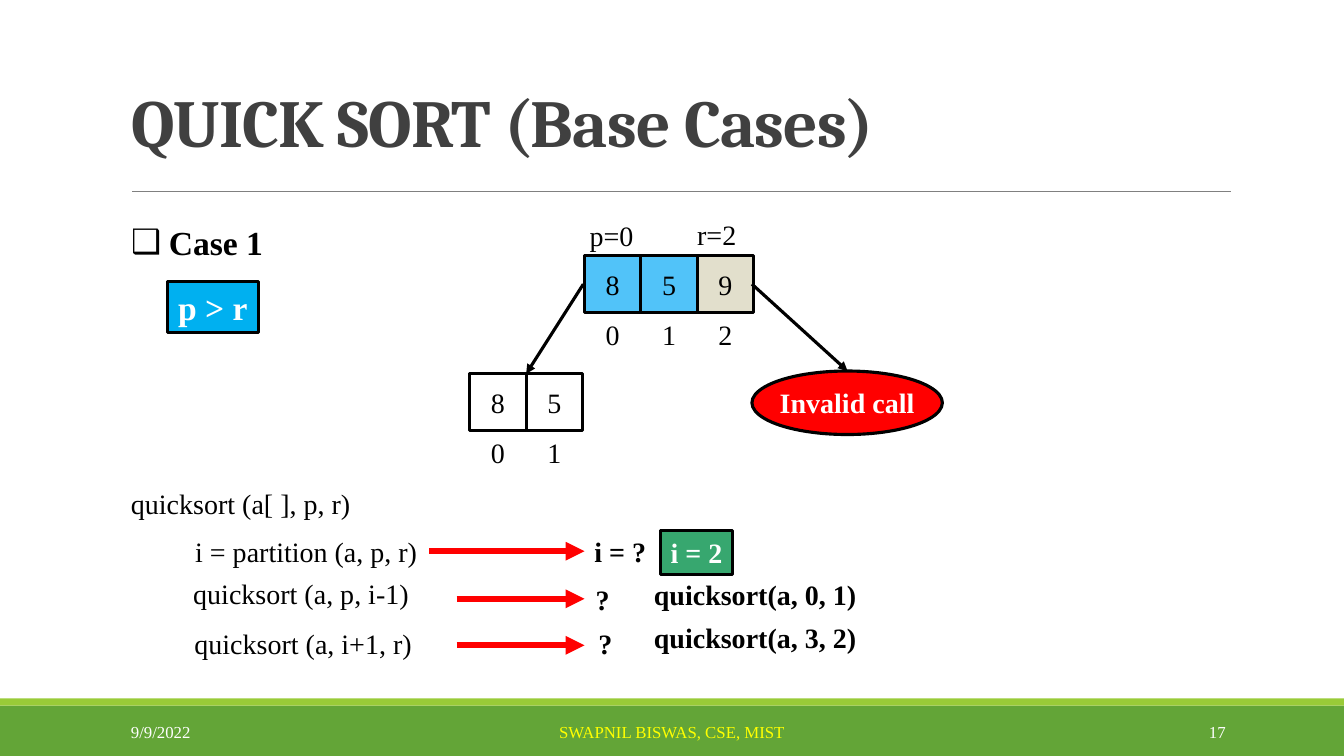
from lxml.etree import SubElement
from pptx import Presentation
from pptx.dml.color import RGBColor
from pptx.enum.shapes import MSO_CONNECTOR as Link, MSO_SHAPE as Shape
from pptx.enum.text import MSO_ANCHOR as Anchor, MSO_AUTO_SIZE as Fit, PP_ALIGN as Align
from pptx.oxml.ns import qn
from pptx.util import Cm, Pt

COLORS = {
    "black": "000000", "white": "FFFFFF", "title": "404040", "rule": "808080",
    "red": "FF0000", "yellow": "FFFF00", "sky": "00B0F0", "blue": "51C3F9",
    "sand": "E2DFCC", "teal": "37A76F", "green": "63A537", "lime": "99CB38",
}
CELL = 1.42
LINE_HEIGHT = 1.11


def rgb(name):
    """Return the colour registered under a name."""
    return RGBColor.from_string(COLORS[name])


def write(frame, text, size=20, color="black", bold=False, font="Times New Roman",
          align=Align.LEFT, anchor=Anchor.TOP, wrap=False):
    """Put one formatted paragraph in a text frame and return it."""
    frame.auto_size = Fit.NONE
    frame.word_wrap = wrap
    frame.vertical_anchor = anchor
    para = frame.paragraphs[0]
    para.alignment = align
    para.space_before = Pt(0)
    span = para.add_run()
    span.text = text
    span.font.name, span.font.size, span.font.bold = font, Pt(size), bold
    span.font.color.rgb = rgb(color)
    return para


class SlidePainter:
    """Hold the deck, its style and the current page."""

    def __init__(self):
        """Open a wide deck with one title and body page."""
        self.deck = Presentation()
        self.deck.slide_width, self.deck.slide_height = Cm(33.87), Cm(19.05)
        self.page = self.deck.slides.add_slide(self.deck.slide_layouts[1])
        self.outline = 2.25

    def place(self, box, left, top, width, height):
        """Move and size a placeholder."""
        box.left, box.top, box.width, box.height = map(Cm, (left, top, width, height))

    def title(self, text):
        """Fill the title placeholder."""
        box = self.page.shapes.title
        self.place(box, 3.05, 0.15, 27.94, 4.04)
        para = write(box.text_frame, text, size=48, color="title", bold=True,
                     font="Cambria", anchor=Anchor.BOTTOM, wrap=True)
        para.line_spacing = 0.85
        para.runs[0]._r.get_or_add_rPr().set("spc", "-50")

    def case(self, text):
        """Fill the body placeholder with one checkbox item."""
        box = self.page.placeholders[1]
        self.place(box, 3.05, 5.46, 3.89, 1.27)
        para = write(box.text_frame, text, size=24, bold=True)
        props = para._p.get_or_add_pPr()
        props.set("marL", str(Cm(0.95)))
        props.set("indent", str(Cm(-0.95)))
        SubElement(props, qn("a:buChar"), char="❑")

    def label(self, text, left, top, width=5, height=LINE_HEIGHT, **style):
        """Add a text box."""
        box = self.page.shapes.add_textbox(Cm(left), Cm(top), Cm(width), Cm(height))
        write(box.text_frame, text, **style)

    def block(self, left, top, width, height, fill=None, text="", kind=Shape.RECTANGLE,
              outlined=True, **style):
        """Add a shape with optional fill, outline and centred text."""
        box = self.page.shapes.add_shape(kind, Cm(left), Cm(top), Cm(width), Cm(height))
        box.shadow.inherit = False
        if fill:
            box.fill.solid()
            box.fill.fore_color.rgb = rgb(fill)
        else:
            box.fill.background()
        if outlined:
            box.line.color.rgb = rgb("black")
            box.line.width = Pt(self.outline)
        else:
            box.line.fill.background()
        if text:
            write(box.text_frame, text, align=Align.CENTER, anchor=Anchor.MIDDLE, **style)

    def line(self, start, end, color="black", width=2.25, arrow=True):
        """Add a straight line, with an arrowhead at its end by default."""
        link = self.page.shapes.add_connector(Link.STRAIGHT, *map(Cm, (*start, *end)))
        link.line.color.rgb = rgb(color)
        link.line.width = Pt(width)
        if arrow:
            SubElement(link.line._get_or_add_ln(), qn("a:tailEnd"), type="triangle")
        SubElement(link._element.spPr, qn("a:effectLst"))

    def array(self, left, top, values, fills):
        """Add a row of cells with their indexes below."""
        for index, (value, fill) in enumerate(zip(values, fills)):
            x = left + index * CELL
            self.block(x, top, CELL, CELL, fill, value)
            self.label(str(index), x, top + CELL, CELL, align=Align.CENTER)


def main():
    """Build the quick sort page and save the deck."""
    page = SlidePainter()
    page.block(0, 17.78, 33.87, 1.27, "green", outlined=False)
    page.block(0, 17.6, 33.87, 0.18, "lime", outlined=False)
    page.line((3.33, 4.82), (31.01, 4.82), "rule", 0.5, arrow=False)
    page.title("QUICK SORT (Base Cases)")
    page.case("Case 1")
    page.block(4.22, 7.09, 2.29, 1.28, "sky", "p > r", size=24, color="white", bold=True)

    page.label("p=0", 14.61, 5.38, 1.63)
    page.label("r=2", 17.32, 5.36, 1.5)
    page.array(14.73, 6.45, "859", ("blue", "blue", "sand"))
    page.array(11.84, 9.42, "85", (None, None))
    page.line((14.7, 7.16), (13.26, 9.42))
    page.line((18.95, 7.16), (21.36, 9.35))
    page.block(18.95, 9.35, 4.8, 1.6, "red", "Invalid call", Shape.OVAL,
               color="white", bold=True)

    for text, left, top in (
        ("quicksort (a[ ], p, r)", 3.05, 12.14),
        ("i = partition (a, p, r)", 4.67, 13.34),
        ("quicksort (a, p, i-1)", 4.62, 14.4),
        ("quicksort (a, i+1, r)", 4.65, 15.65),
    ):
        page.label(text, left, top, 6.1)
    for start, y in ((10.82, 13.89), (11.51, 15.09), (11.51, 16.26)):
        page.line((start, y), (14.73, y), "red", 4.5)
    for text, left, top, width in (
        ("i = ?", 14.73, 13.34, 1.83),
        ("?", 14.76, 14.55, 0.86),
        ("?", 14.83, 15.65, 0.86),
        ("quicksort(a, 0, 1)", 16.23, 14.43, 5.64),
        ("quicksort(a, 3, 2)", 16.23, 15.52, 5.64),
    ):
        page.label(text, left, top, width, bold=True)
    page.block(16.64, 13.36, 1.83, LINE_HEIGHT, "teal", "i = 2", color="white", bold=True)

    for text, left, width, color, align in (
        ("9/9/2022", 3.05, 6.86, "white", Align.LEFT),
        ("SWAPNIL BISWAS, CSE, MIST", 10.24, 13.39, "yellow", Align.CENTER),
        ("17", 27.51, 3.63, "white", Align.RIGHT),
    ):
        page.label(text, left, 17.93, width, 1.02, size=12, color=color, align=align,
                   anchor=Anchor.MIDDLE, wrap=True)
    page.deck.save("out.pptx")


if __name__ == "__main__":
    main()
